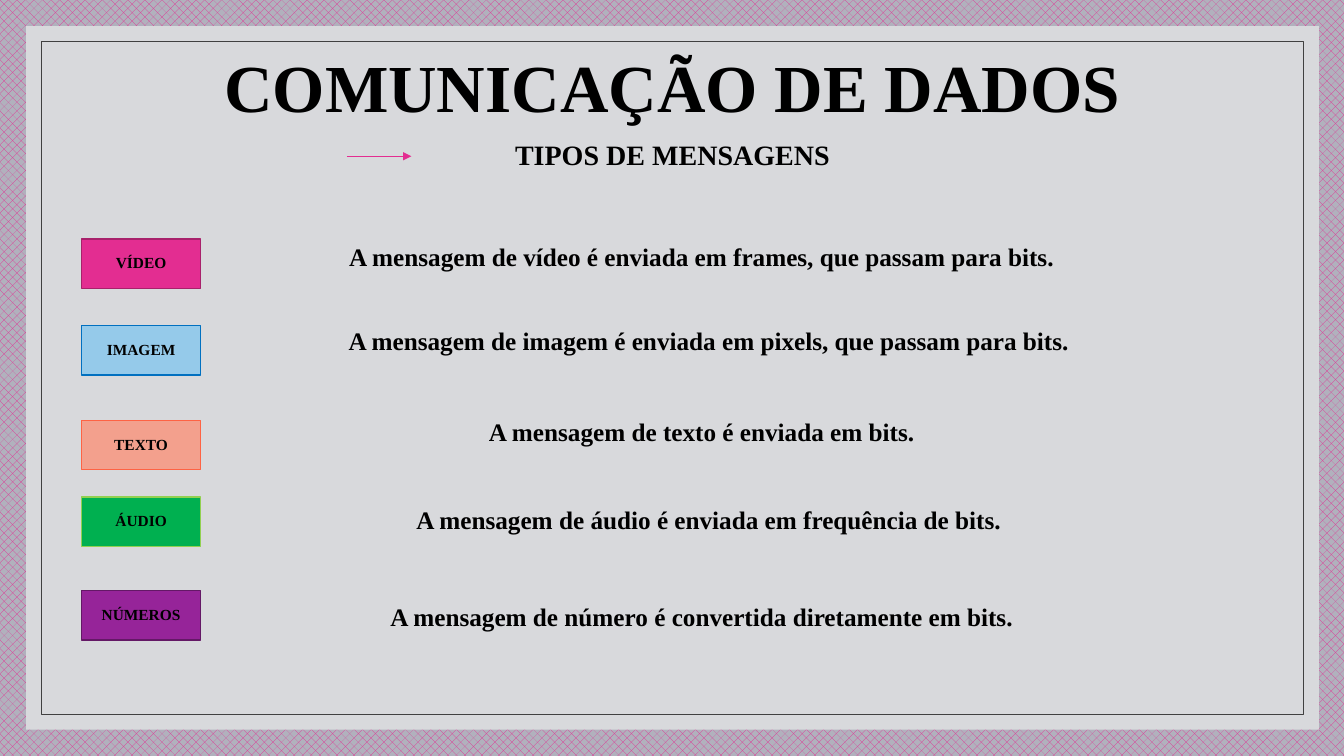
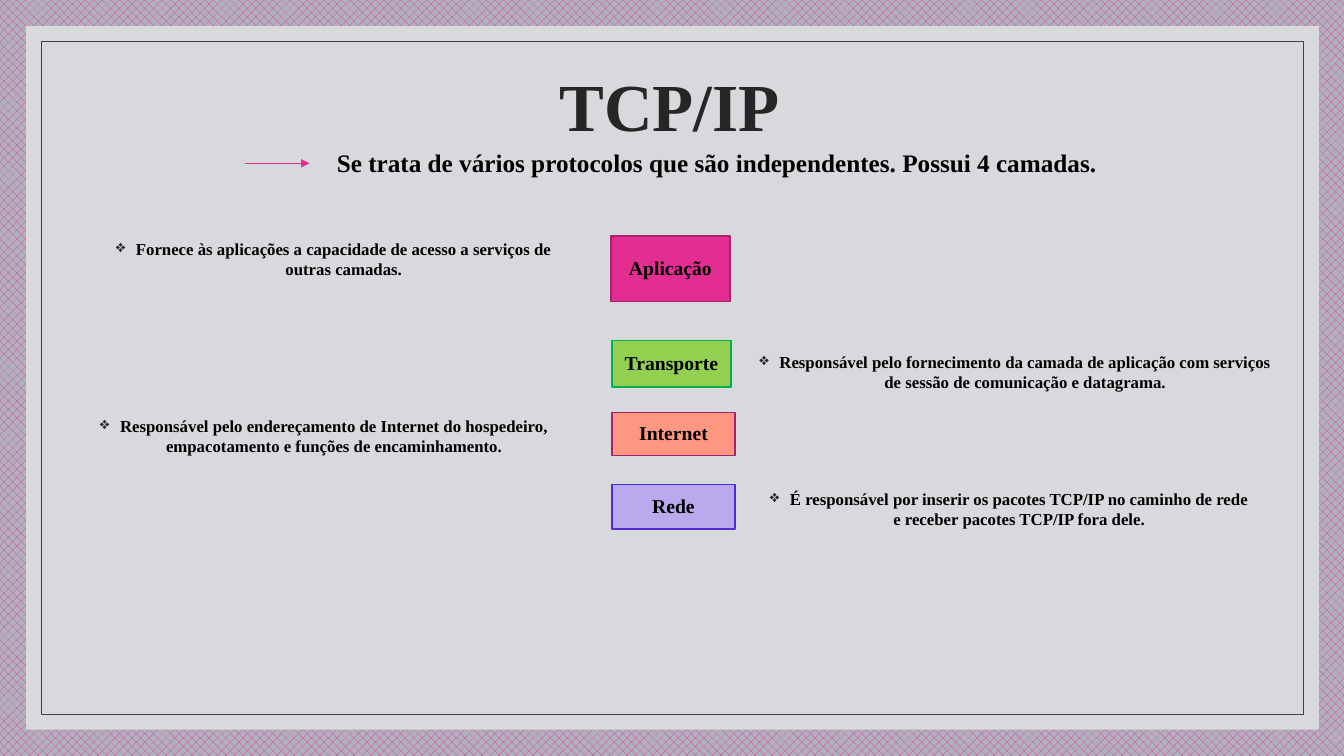
import pptx
import pptx.dml.color
import pptx.enum.dml
import pptx.enum.shapes
import pptx.enum.text
import pptx.oxml
import pptx.oxml.ns
import pptx.util
import lxml.etree

Inches = pptx.util.Inches
Pt = pptx.util.Pt
RGB = pptx.dml.color.RGBColor.from_string
Anchor = pptx.enum.text.MSO_ANCHOR
RECTANGLE = pptx.enum.shapes.MSO_SHAPE.RECTANGLE

FONT = "Times New Roman"
COLORS = {
    "pink": "E32D91", "dark pink": "A8216B", "gray": "B1B1BD",
    "panel": "D8D9DC", "frame": "404040", "black": "000000",
    "charcoal": "262626", "sky": "95CAEA", "blue": "0070C0",
    "salmon": "F3A08D", "coral": "FE6344", "green": "00B050",
    "lime": "92D050", "purple": "962499", "dark purple": "641866",
    "peach": "FE9782", "lilac": "B8AAED", "indigo": "502CD1",
}


def add_box(page, place, fill=None, line=None, width=1):
    """Add a flat rectangle; place is left, top, width, height in inches."""
    box = page.shapes.add_shape(RECTANGLE, *map(Inches, place))
    box.shadow.inherit = False
    if fill:
        box.fill.solid()
        box.fill.fore_color.rgb = RGB(COLORS[fill])
    else:
        box.fill.background()
    if line:
        box.line.color.rgb = RGB(COLORS[line])
        box.line.width = Pt(width)
    else:
        box.line.fill.background()
    return box


def write(box, text, size, color="black", anchor=Anchor.TOP, spacing=1.0, bullet=None):
    """Fill a box with one bold, centred paragraph."""
    frame = box.text_frame
    frame.word_wrap = True
    frame.vertical_anchor = anchor
    para = frame.paragraphs[0]
    para.text = text
    para.alignment = pptx.enum.text.PP_ALIGN.CENTER
    para.line_spacing = spacing
    if bullet:
        properties = para._p.get_or_add_pPr()
        properties.set("marL", str(Inches(0.2)))
        properties.set("indent", str(-Inches(0.2)))
        bullet_color = lxml.etree.SubElement(properties, pptx.oxml.ns.qn("a:buClr"))
        lxml.etree.SubElement(bullet_color, pptx.oxml.ns.qn("a:srgbClr"), val=COLORS["charcoal"])
        lxml.etree.SubElement(properties, pptx.oxml.ns.qn("a:buChar"), char=bullet)
    para.font.name = FONT
    para.font.size = Pt(size)
    para.font.bold = True
    para.font.color.rgb = RGB(COLORS[color])


deck = pptx.Presentation()
deck.slide_width = Inches(13.33)
deck.slide_height = Inches(7.5)
messages, layers = [deck.slides.add_slide(deck.slide_layouts[6]) for _ in range(2)]

# Shared background and frame, kept on the master
master = deck.slide_master
background = master.background.fill
background.patterned()
# The library spells the 40 percent pattern without its first letter
background.pattern = pptx.enum.dml.MSO_PATTERN.ERCENT_40
background.fore_color.rgb = RGB(COLORS["pink"])
background.back_color.rgb = RGB(COLORS["gray"])
panel = add_box(messages, (0.26, 0.26, 12.82, 6.98), fill="panel")
border = add_box(messages, (0.41, 0.41, 12.52, 6.68), line="frame", width=0.5)
for part in (panel, border):
    master.shapes.element.append(part.element)

# Titles
for page, title, left, top, color in (
    (messages, "COMUNICAÇÃO DE DADOS", 1.17, 0.15, "black"),
    (layers, "TCP/IP", 1.14, 0.34, "charcoal"),
):
    box = page.shapes.add_textbox(Inches(left), Inches(top), Inches(11), Inches(1.5))
    write(box, title, 48, color, Anchor.MIDDLE, 0.9)

# Subtitles, each with an arrow on its left
for page, subtitle, place, size, anchor, spacing, arrow_left, arrow_top in (
    (messages, "TIPOS DE MENSAGENS", (1.17, 0.8, 11, 1.5),
     20, Anchor.MIDDLE, 0.9, 3.44, 1.55),
    (layers, "Se trata de vários protocolos que são independentes. Possui 4 camadas.",
     (1.61, 1.41, 11, 0.65), 18, Anchor.TOP, 1.0, 2.43, 1.62),
):
    box = page.shapes.add_textbox(*map(Inches, place))
    write(box, subtitle, size, anchor=anchor, spacing=spacing)
    arrow = page.shapes.add_connector(
        pptx.enum.shapes.MSO_CONNECTOR.STRAIGHT,
        Inches(arrow_left), Inches(arrow_top), Inches(arrow_left + 0.64), Inches(arrow_top))
    arrow.line.color.rgb = RGB(COLORS["pink"])
    arrow.line.width = Pt(0.5)
    lxml.etree.SubElement(arrow.line._get_or_add_ln(), pptx.oxml.ns.qn("a:tailEnd"), type="triangle")
    lxml.etree.SubElement(arrow._element.spPr, pptx.oxml.ns.qn("a:effectLst"))

# Message types: label box and description
for label, top, fill, line, text, text_left, text_top in (
    ("VÍDEO", 2.37, "pink", "dark pink",
     "A mensagem de vídeo é enviada em frames, que passam para bits.", 1.46, 2.34),
    ("IMAGEM", 3.23, "sky", "blue",
     "A mensagem de imagem é enviada em pixels, que passam para bits.", 1.53, 3.18),
    ("TEXTO", 4.17, "salmon", "coral",
     "A mensagem de texto é enviada em bits.", 1.46, 4.08),
    ("ÁUDIO", 4.93, "green", "lime",
     "A mensagem de áudio é enviada em frequência de bits.", 1.53, 4.95),
    ("NÚMEROS", 5.86, "purple", "dark purple",
     "A mensagem de número é convertida diretamente em bits.", 1.46, 5.92),
):
    box = add_box(messages, (0.81, top, 1.18, 0.49), fill, line)
    write(box, label, 11, anchor=Anchor.MIDDLE, spacing=0.9)
    description = messages.shapes.add_textbox(
        Inches(text_left), Inches(text_top), Inches(11), Inches(0.65))
    write(description, text, 18)

# Protocol layers: label box and bulleted description beside it
for label, place, fill, line, text, text_place in (
    ("Aplicação", (6.06, 2.34, 1.18, 0.65), "pink", "dark pink",
     "Fornece às aplicações a capacidade de acesso a serviços de outras camadas.",
     (0.99, 2.32, 4.64, 1)),
    ("Transporte", (6.07, 3.38, 1.18, 0.46), "lime", "green",
     "Responsável pelo fornecimento da camada de aplicação com serviços de sessão "
     "de comunicação e datagrama.",
     (7.4, 3.44, 5.34, 0.65)),
    ("Internet", (6.07, 4.09, 1.22, 0.43), "peach", "dark pink",
     "Responsável pelo endereçamento de Internet do hospedeiro, empacotamento e "
     "funções de encaminhamento.",
     (0.89, 4.07, 4.65, 0.68)),
    ("Rede", (6.07, 4.81, 1.22, 0.44), "lilac", "indigo",
     "É responsável por inserir os pacotes TCP/IP no caminho de rede e receber "
     "pacotes TCP/IP fora dele.",
     (7.53, 4.8, 4.96, 0.57)),
):
    box = add_box(layers, place, fill, line)
    write(box, label, 14, anchor=Anchor.MIDDLE, spacing=0.9)
    description = layers.shapes.add_textbox(*map(Inches, text_place))
    write(description, text, 12, bullet="❖")

deck.save("out.pptx")
